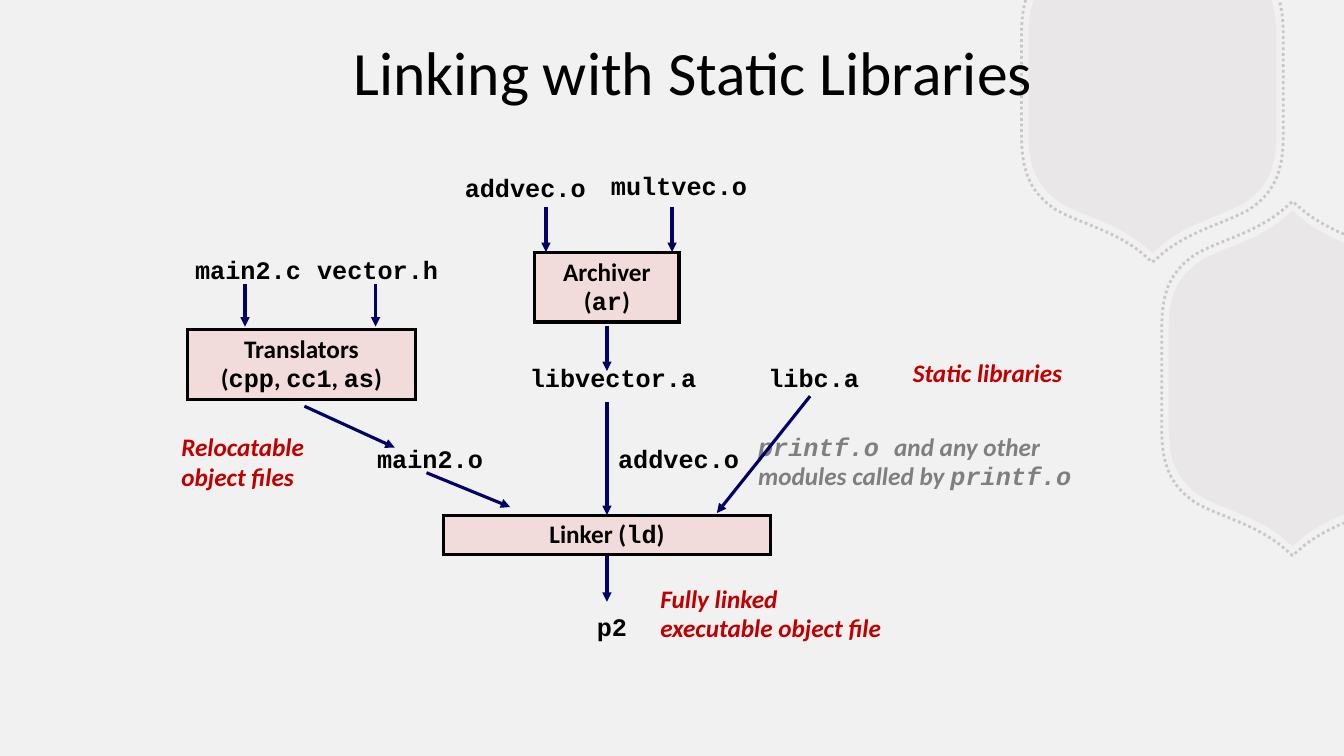
from dataclasses import dataclass
from typing import Any, NamedTuple

from lxml.etree import Element, SubElement
from pptx import Presentation
from pptx.dml.color import RGBColor
from pptx.enum.dml import MSO_LINE_DASH_STYLE as Dash
from pptx.enum.shapes import MSO_CONNECTOR as Connector, MSO_SHAPE as Preset
from pptx.enum.text import MSO_ANCHOR as Anchor, MSO_AUTO_SIZE as AutoSize, PP_ALIGN as Align
from pptx.oxml.ns import qn
from pptx.slide import Slide
from pptx.util import Inches, Pt

COLUMNS, ROWS = 133.3, 75
CELL = Inches(0.1)
Point = tuple[float, float]
Segment = list[Point]


@dataclass(frozen=True)
class Theme:
    background: RGBColor = RGBColor(0xF2, 0xF1, 0xF1)
    ornament: RGBColor = RGBColor(0xB8, 0xB2, 0xB2)
    ink: RGBColor = RGBColor(0, 0, 0)
    tool_fill: RGBColor = RGBColor(0xF2, 0xDC, 0xDB)
    arrow: RGBColor = RGBColor(0, 0, 0x66)
    note: RGBColor = RGBColor(0xC0, 0, 0)
    aside: RGBColor = RGBColor(0x7F, 0x7F, 0x7F)
    prose_font: str = "Calibri"
    code_font: str = "Courier New"
    title_size: Pt = Pt(44)
    text_size: Pt = Pt(18)
    stroke: Pt = Pt(2.25)
    dots: Pt = Pt(2)


THEME = Theme()


class FileName(NamedTuple):
    center: float
    top: float
    name: str

class Note(NamedTuple):
    left: float
    top: float
    width: float
    lines: tuple[str, ...]
    color: RGBColor = THEME.note

class Tool(NamedTuple):
    left: float
    top: float
    width: float
    height: float
    lines: tuple[str, ...]

class Arrow(NamedTuple):
    x1: float
    y1: float
    x2: float
    y2: float

class Badge(NamedTuple):
    x: float
    y: float


# Text between backticks is set in the code font.
FILES = [
    FileName(24.6, 25, "main2.c"), FileName(37.45, 25, "vector.h"),
    FileName(52.1, 16.8, "addvec.o"), FileName(67.35, 16.65, "multvec.o"),
    FileName(60.8, 35.7, "libvector.a"), FileName(80.7, 35.7, "libc.a"),
    FileName(42.65, 43.7, "main2.o"), FileName(67.3, 43.7, "addvec.o"),
    FileName(60.7, 60.35, "p2"),
]
NOTES = [
    Note(89.55, 35.1, 17, ("Static libraries",)),
    Note(17, 42.45, 14.3, ("Relocatable", "object files")),
    Note(64.5, 57.5, 24.2, ("Fully linked", "executable object file")),
    Note(74.2, 42.5, 34.8, ("`printf.o `and any other", "modules called by `printf.o`"), THEME.aside),
]
TOOLS = [
    Tool(18.6, 32.7, 22.6, 6.9, ("Translators", "(`cpp`, `cc1`, `as`)")),
    Tool(53.05, 25.05, 14.3, 6.9, ("Archiver", "(`ar`)")),
    Tool(43.95, 51.1, 32.5, 3.95, ("Linker (`ld`)",)),
]
ARROWS = [
    *(Arrow(x, 28.2, x, 32.4) for x in (24.3, 37.25)),
    *(Arrow(x, 20.5, x, 25) for x in (54.15, 66.65)),
    *(Arrow(60.2, y1, 60.2, y2) for y1, y2 in ((32.3, 36.8), (39.9, 51.1), (55.2, 59.7))),
    Arrow(30.2, 40.3, 39.15, 44.4), Arrow(42.3, 46.9, 50.6, 50.3), Arrow(80.35, 39.3, 71.1, 50.9),
]
BADGES = [Badge(114.3, 8.45), Badge(128.2, 37.55)]
BADGE_QUARTER: list[Segment] = [
    [(0, 16.65), (1.1, 15.7)],
    [(1.1, 15.7), (3.8, 13.6), (6.8, 13), (9.1, 11.7)],
    [(9.1, 11.7), (11.3, 10.2), (12.3, 8.4), (12.3, 4.8)],
]


def cells(*amounts: float) -> list[int]:
    return [round(amount * CELL) for amount in amounts]


def assign(target: Any, values: dict[str, Any]) -> None:
    for name, value in values.items():
        setattr(target, name, value)


def on_slide(point: Point) -> bool:
    return 0 <= point[0] <= COLUMNS and 0 <= point[1] <= ROWS


def first_part(segment: Segment, share: float) -> Segment:
    """The start of a line or Bezier curve, split off by de Casteljau's rule."""
    part, level = [], segment
    while level:
        part.append(level[0])
        level = [(a + (c - a) * share, b + (d - b) * share) for (a, b), (c, d) in zip(level, level[1:])]
    return part


def trim(segment: Segment) -> Segment:
    """The part of a segment that lies on the slide, when one end does not."""
    if on_slide(segment[0]) == on_slide(segment[-1]):
        return segment
    if not on_slide(segment[0]):
        return trim(segment[::-1])[::-1]
    low, high = 0.0, 1.0
    for _ in range(30):
        middle = (low + high) / 2
        low, high = (middle, high) if on_slide(first_part(segment, middle)[-1]) else (low, middle)
    return first_part(segment, low)


def badge_outline(badge: Badge, scale: float) -> list[Segment]:
    side = [[(12.3, 4.8), (12.3, -4.8)]]
    half = BADGE_QUARTER + side + [[(x, -y) for x, y in s[::-1]] for s in BADGE_QUARTER[::-1]]
    ring = [[(badge.x + x * scale, badge.y + y * scale) for x, y in segment]
            for segment in half + [[(-x, y) for x, y in s[::-1]] for s in half[::-1]]]
    entry = next(i for i, s in enumerate(ring) if on_slide(s[-1]) and not on_slide(s[0]))
    return [trim(s) for s in ring[entry:] + ring[:entry] if on_slide(s[0]) or on_slide(s[-1])]


def draw_badge(slide: Slide, badge: Badge, filled: bool) -> None:
    segments = [[cells(*p) for p in s] for s in badge_outline(badge, 1 if filled else 1.055)]
    builder = slide.shapes.build_freeform(*segments[0][0], scale=1.0)
    builder.add_line_segments([s[-1] for s in segments], close=filled)
    outline = builder.convert_to_shape()
    for step, segment in zip(list(outline.element.iter(qn("a:lnTo"))), segments):
        if len(segment) == 4:
            curve = Element(qn("a:cubicBezTo"))
            for x, y in segment[1:]:
                SubElement(curve, qn("a:pt"), x=str(x - outline.left), y=str(y - outline.top))
            step.getparent().replace(step, curve)
    outline.shadow.inherit = False
    if filled:
        outline.fill.solid()
        outline.fill.fore_color.rgb = THEME.ornament
        outline.line.fill.background()
    else:
        outline.fill.background()
        outline.line.color.rgb = THEME.ornament
        assign(outline.line, {"width": THEME.dots, "dash_style": Dash.ROUND_DOT})
    for color in outline.element.spPr.iter(qn("a:srgbClr")):
        SubElement(color, qn("a:alpha"), val="15000" if filled else "65000")


def write(frame: Any, lines: tuple[str, ...], color: RGBColor = THEME.ink,
          align: Align = Align.CENTER, italic: bool = False, wrap: bool = False) -> None:
    assign(frame, {"word_wrap": wrap, "auto_size": AutoSize.SHAPE_TO_FIT_TEXT, "vertical_anchor": Anchor.TOP})
    for index, line in enumerate(lines):
        paragraph = frame.add_paragraph() if index else frame.paragraphs[0]
        assign(paragraph, {"alignment": align, "line_spacing": 0.94 if line.startswith("`") else 0.98})
        for part, text in enumerate(line.split("`")):
            if text:
                run = paragraph.add_run()
                run.text = text
                assign(run.font, {"name": THEME.code_font if part % 2 else THEME.prose_font,
                                  "size": THEME.text_size, "bold": True, "italic": italic})
                run.font.color.rgb = color


def draw_file(slide: Slide, file: FileName) -> None:
    width = 1.5 * len(file.name) + 2
    label = slide.shapes.add_textbox(*cells(file.center - width / 2, file.top, width, 3.9))
    write(label.text_frame, (f"`{file.name}`",))


def draw_note(slide: Slide, note: Note) -> None:
    label = slide.shapes.add_textbox(*cells(note.left, note.top, note.width, 1 + 3 * len(note.lines)))
    write(label.text_frame, note.lines, note.color, Align.LEFT, italic=True)


def draw_tool(slide: Slide, tool: Tool) -> None:
    box = slide.shapes.add_shape(Preset.RECTANGLE, *cells(*tool[:4]))
    box.shadow.inherit = False
    box.fill.solid()
    box.fill.fore_color.rgb = THEME.tool_fill
    box.line.color.rgb = THEME.ink
    box.line.width = THEME.stroke
    SubElement(box.element.spPr.find(qn("a:ln")), qn("a:miter"), lim="800000")
    write(box.text_frame, tool.lines, wrap=True)


def draw_arrow(slide: Slide, arrow: Arrow) -> None:
    link = slide.shapes.add_connector(Connector.STRAIGHT, *cells(*arrow))
    link.line.color.rgb = THEME.arrow
    link.line.width = THEME.stroke
    properties = link.element.spPr
    SubElement(properties.find(qn("a:ln")), qn("a:tailEnd"), type="triangle")
    SubElement(properties, qn("a:effectLst"))


def set_title(slide: Slide, text: str) -> None:
    title = slide.shapes.title
    assign(title, dict(zip(("left", "top", "width", "height"), cells(21.1, 2.7, 95.3, 8.6))))
    title.text_frame.text = text
    assign(title.text_frame, {"vertical_anchor": Anchor.MIDDLE, "auto_size": AutoSize.NONE})
    paragraph = title.text_frame.paragraphs[0]
    paragraph.alignment = Align.CENTER
    assign(paragraph.font, {"name": THEME.prose_font, "size": THEME.title_size})
    paragraph.font.color.rgb = THEME.ink
    title.element.getparent().append(title.element)


def main() -> None:
    deck = Presentation()
    deck.slide_width, deck.slide_height = cells(COLUMNS, ROWS)
    slide = deck.slides.add_slide(deck.slide_layouts[5])
    slide.background.fill.solid()
    slide.background.fill.fore_color.rgb = THEME.background
    for filled in (True, False):
        for badge in BADGES:
            draw_badge(slide, badge, filled)
    set_title(slide, "Linking with Static Libraries")
    for draw, parts in ((draw_tool, TOOLS), (draw_file, FILES), (draw_note, NOTES), (draw_arrow, ARROWS)):
        for part in parts:
            draw(slide, part)
    deck.save("out.pptx")


if __name__ == "__main__":
    main()
